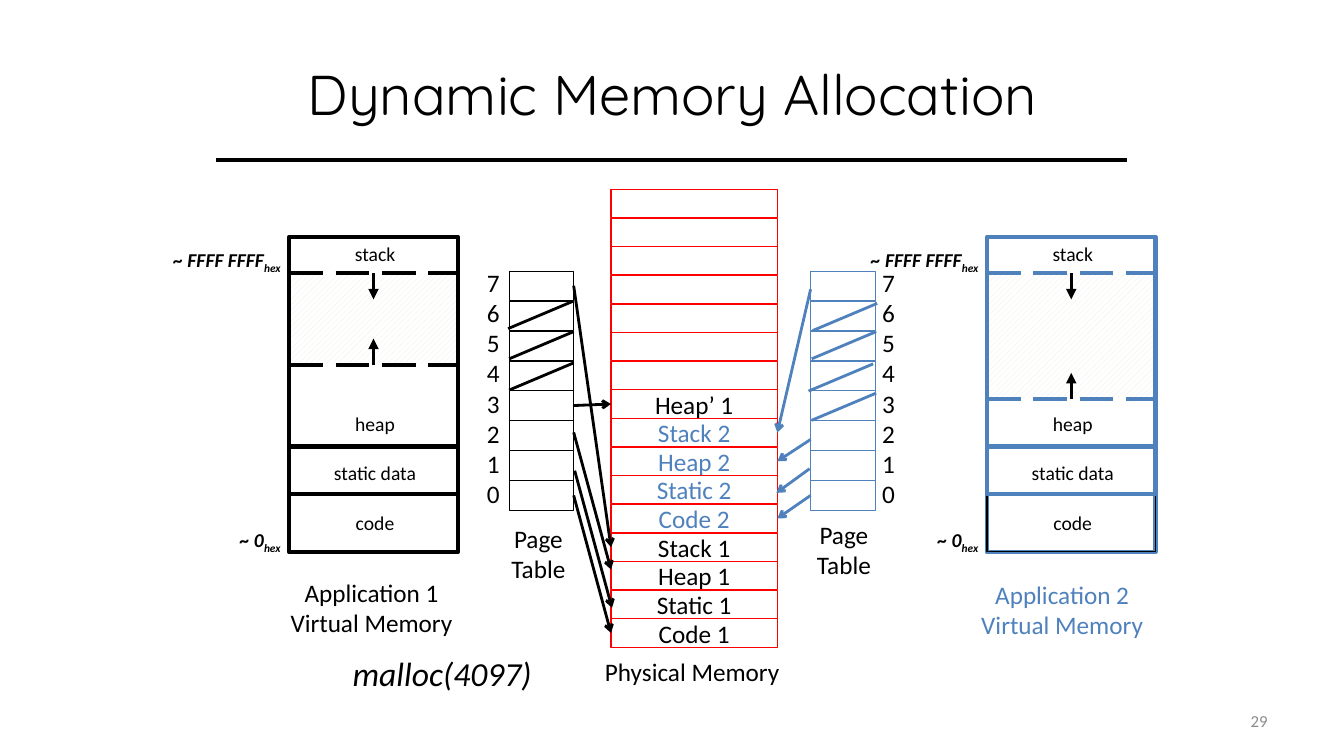
from lxml import etree
from pptx import Presentation
from pptx import util as u
from pptx.dml.color import RGBColor
from pptx.enum import dml, shapes, text
from pptx.oxml.ns import qn

COLORS = {"black": "000000", "blue": "4F81BD", "red": "FF0000",
          "white": "FFFFFF", "hatch": "EEECE1", "grey": "8C8C8C"}
TOP, LEFT, BOTTOM, RIGHT = range(4)


def rgb(name):
    return RGBColor.from_string(COLORS[name])


class Diagram:
    aligns = {"l": text.PP_ALIGN.LEFT, "c": text.PP_ALIGN.CENTER,
              "r": text.PP_ALIGN.RIGHT}
    base = {"name": "Calibri", "size": u.Pt(18)}

    def __init__(self, s):
        self.s = s

    def set_text(self, sp, words, color="black", align="c", sub="",
                 middle=False, wrap=False, **fmt):
        tf = sp.text_frame
        tf.word_wrap = wrap
        tf.vertical_anchor = text.MSO_ANCHOR.MIDDLE if middle else text.MSO_ANCHOR.TOP
        for i, line in enumerate(words.split("\n")):
            p = tf.add_paragraph() if i else tf.paragraphs[0]
            p.text = line
            p.alignment = self.aligns[align]
            if sub:
                r = p.add_run()
                r.text = sub
                r.font._element.set("baseline", "-25000")
            for r in p.runs:
                for key, value in {**self.base, **fmt}.items():
                    setattr(r.font, key, value)
                r.font.color.rgb = rgb(color)

    def label(self, box, words, **fmt):
        sp = self.s.shapes.add_textbox(*map(u.Inches, box))
        self.set_text(sp, words, **fmt)

    def rect(self, box, color, width, hatched=False):
        sp = self.s.shapes.add_shape(shapes.MSO_SHAPE.RECTANGLE, *map(u.Inches, box))
        sp.shadow.inherit = False
        sp.line.color.rgb = rgb(color)
        sp.line.width = u.Pt(width)
        if hatched:
            sp.fill.patterned()
            sp.fill.pattern = dml.MSO_PATTERN.WIDE_UPWARD_DIAGONAL
            sp.fill.fore_color.rgb = rgb("hatch")
            sp.fill.back_color.rgb = rgb("white")
        else:
            sp.fill.background()
        return sp

    def line(self, start, end, color="black", width=2, head=None, dashed=False):
        ends = [(0, 0) if hasattr(e[0], "shape_id") else e for e in (start, end)]
        c = self.s.shapes.add_connector(
            shapes.MSO_CONNECTOR.STRAIGHT, *map(u.Inches, ends[0] + ends[1]))
        for e, join in ((start, c.begin_connect), (end, c.end_connect)):
            if hasattr(e[0], "shape_id"):
                join(*e)
        c.line.color.rgb = rgb(color)
        c.line.width = u.Pt(width)
        if dashed:
            c.line.dash_style = dml.MSO_LINE.LONG_DASH
        spPr = c._element.spPr
        if head:
            etree.SubElement(spPr.find(qn("a:ln")), qn("a:tailEnd"), type=head)
        etree.SubElement(spPr, qn("a:effectLst"))

    def virtual_memory(self, x, gap, color):
        hatch = self.rect((x, 2.71, 1.67, gap), "white", 1, hatched=True)
        for y, h, edge, width in ((2.35, 3.13, color, 3), (4.9, 0.57, "black", 1),
                                  (4.43, 0.47, color, 3)):
            self.rect((x, y, 1.67, h), edge, width)
        for y in (2.71 + gap, 2.71):
            self.line((x, y), (x + 1.67, y), color, 3, dashed=True)
        for words, dx, y, w in (("code", 0.51, 5.02, 0.68),
                                ("static data", 0.2, 4.52, 1.3),
                                ("heap", 0.5, 4.04, 0.7), ("stack", 0.5, 2.35, 0.7)):
            self.label((x + dx, y, w, 0.34), words, wrap=True, size=u.Pt(14))
        mid = x + 1.67 / 2
        self.line((hatch, BOTTOM), (mid, 2.45 + gap), width=2.5, head="triangle")
        self.line((hatch, TOP), (mid, 2.97), width=2.5, head="triangle")
        for words, dx, y, w in (("~ FFFF FFFF", 1.25, 2.41, 1.29),
                                ("~ 0", 0.59, 5.19, 0.98)):
            self.label((x - dx, y, w, 0.34), words, sub="hex", align="l", wrap=True,
                       size=u.Pt(14), bold=True, italic=True)

    def page_table(self, x, digits_x, caption, color):
        pages = {7 - i: self.rect((x, 2.69 + i * 2.08 / 7, 0.64, 0.29), color, 0.75)
                 for i in range(8)}
        self.label((digits_x, 2.6, 0.33, 2.52), "\n".join("76543210"), align="l")
        self.label((*caption, 0.74, 0.71), "Page\vTable")
        return pages

    def physical_memory(self, names):
        frames = {}
        first = 16 - len(names)
        for i in range(16):
            sp = self.rect((6.06, 1.88 + i * 4.26 / 15, 1.65, 0.28), "red", 0.75)
            if i >= first:
                name = names[i - first]
                self.set_text(sp, name, "blue" if name.endswith("2") else "black",
                              middle=True, wrap=True)
                frames[name] = sp
        self.label((5.89, 6.46, 1.95, 0.4), "Physical Memory")
        return frames


def main():
    prs = Presentation()
    prs.slide_width, prs.slide_height = u.Inches(13.33), u.Inches(7.5)
    d = Diagram(prs.slides.add_slide(prs.slide_layouts[6]))

    d.label((0.67, 0.3, 12, 1.25), "Dynamic Memory Allocation", middle=True,
            wrap=True, name="Quicksand", size=u.Pt(40))
    d.line((2.14, 1.59), (11.18, 1.59), width=3)
    d.label((9.56, 6.95, 3.11, 0.4), "29", color="grey", align="r", middle=True,
            wrap=True, size=u.Pt(12))

    d.virtual_memory(9.79, 1.25, "blue")
    d.virtual_memory(2.87, 0.91, "black")
    d.label((2.77, 5.68, 1.83, 0.71), "Application 1\nVirtual Memory")
    d.label((9.62, 5.7, 1.83, 0.71), "Application 2\nVirtual Memory", color="blue")
    d.label((3.39, 6.43, 1.99, 0.5), "malloc(4097)", size=u.Pt(24), italic=True)

    table1 = d.page_table(5.05, 4.73, (4.97, 5.14), "black")
    table2 = d.page_table(8.04, 8.65, (8, 5.1), "blue")
    frames = d.physical_memory(["Heap’ 1", "Stack 2", "Heap 2", "Static 2", "Code 2",
                                "Stack 1", "Heap 1", "Static 1", "Code 1"])

    for page, name in ((0, "Code 1"), (7, "Stack 1"), (3, "Heap’ 1")):
        d.line((table1[page], RIGHT), (frames[name], LEFT), head="arrow")
    for start, end in (((5.7, 4.67), (6.07, 6.03)), ((5.69, 4.29), (6.06, 5.65))):
        d.line(start, end, head="arrow")
    d.line((table2[0], LEFT), (frames["Code 2"], RIGHT), "blue", head="arrow")
    for start, end in (((8.03, 4.65), (7.7, 4.89)),
                       ((8.04, 4.36), (frames["Heap 2"], RIGHT)),
                       ((8.04, 2.87), (frames["Stack 2"], RIGHT))):
        d.line(start, end, "blue", head="arrow")

    slashes = {"black": ((5.04, 3.26), (5.05, 3.56), (5.05, 3.87)),
               "blue": ((8.06, 3.28), (8.05, 3.56), (8.02, 3.88), (8.05, 4.17))}
    for color, starts in slashes.items():
        for x, y in starts:
            d.line((x, y), (x + 0.64, y - 0.27), color)

    prs.save("out.pptx")


if __name__ == "__main__":
    main()
